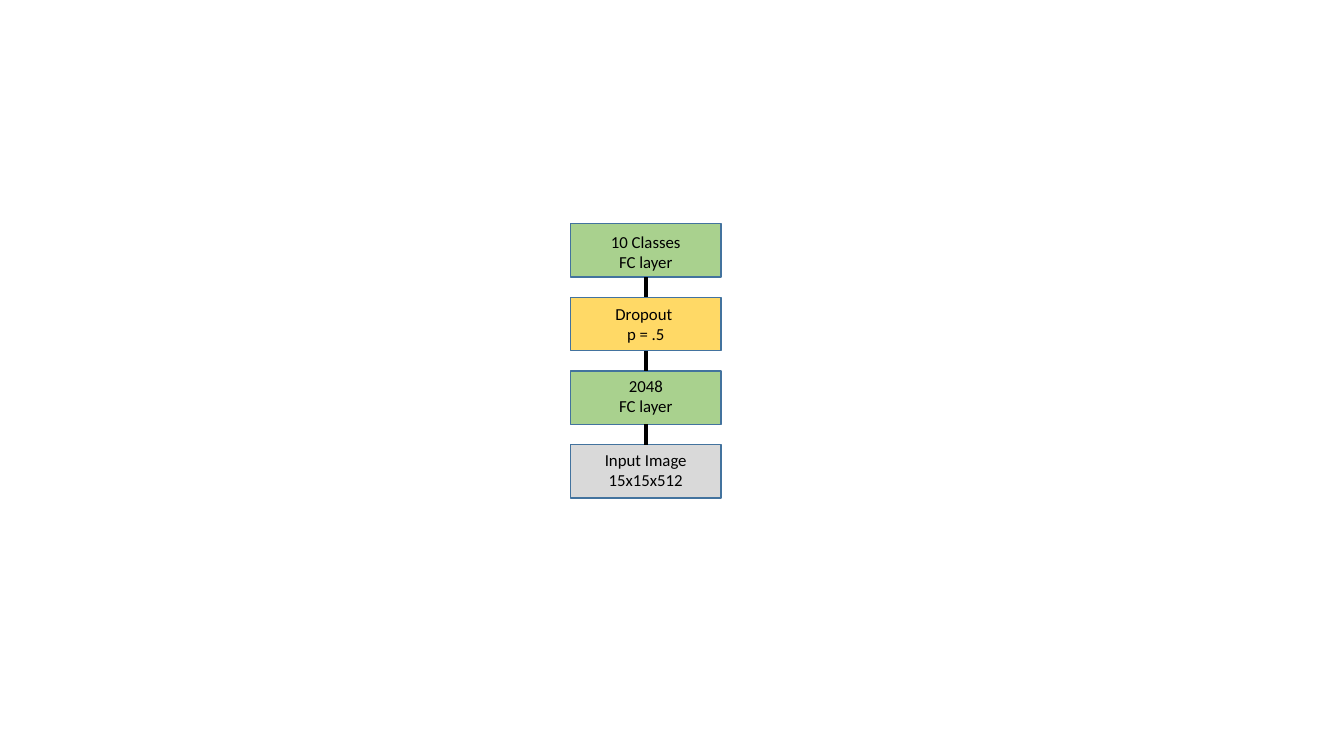
import dataclasses

import lxml.etree
import pptx
import pptx.dml.color
import pptx.enum.shapes
import pptx.enum.text
import pptx.oxml.ns
import pptx.util


@dataclasses.dataclass(frozen=True)
class Theme:
    font: str = "Calibri"
    size: float = 12
    text: str = "000000"
    outline: str = "43739E"
    dense: str = "A9D18E"
    dropout: str = "FFD966"
    source: str = "D9D9D9"
    outline_width: float = 1
    link_width: float = 2.5


theme = Theme()
inches = pptx.util.Inches
color = pptx.dml.color.RGBColor.from_string


def write(box, text, size=theme.size, font=theme.font, ink=theme.text, top_inset=0.05):
    """Fill a box with centred lines of text, starting at its top."""
    frame = box.text_frame
    frame.word_wrap = True
    frame.vertical_anchor = pptx.enum.text.MSO_ANCHOR.TOP
    frame.margin_top = inches(top_inset)
    frame.margin_bottom = 0
    frame.text = text
    for para in frame.paragraphs:
        para.alignment = pptx.enum.text.PP_ALIGN.CENTER
        for span in para.runs:
            span.font.size = pptx.util.Pt(size)
            span.font.name = font
            span.font.color.rgb = color(ink)


# Page
deck = pptx.Presentation()
deck.slide_width, deck.slide_height = inches(13.33), inches(7.5)
page = deck.slides.add_slide(deck.slide_layouts[6])

# Grid: one column of layers, evenly pitched rows
left, top = 5.66, 2.22
width, height = 1.49, 0.53
pitch = 0.73
center = left + width / 2

# Layers from output down to input: text, fill, top inset
layers = [
    ("10 Classes\nFC layer", theme.dense, 0.08),
    ("Dropout \np = .5", theme.dropout, 0.06),
    ("2048\nFC layer", theme.dense, 0.05),
    ("Input Image\n15x15x512", theme.source, 0.05),
]

for row, (text, fill, top_inset) in enumerate(layers):
    row_top = top + row * pitch

    # Layer box
    box = page.shapes.add_shape(
        pptx.enum.shapes.MSO_SHAPE.RECTANGLE,
        inches(left), inches(row_top), inches(width), inches(height),
    )
    box.shadow.inherit = False
    box.fill.solid()
    box.fill.fore_color.rgb = color(fill)
    box.line.color.rgb = color(theme.outline)
    box.line.width = pptx.util.Pt(theme.outline_width)
    write(box, text, top_inset=top_inset)

    # Link to the layer above
    if row > 0:
        link = page.shapes.add_connector(
            pptx.enum.shapes.MSO_CONNECTOR.STRAIGHT,
            inches(center), inches(row_top - pitch + height),
            inches(center), inches(row_top),
        )
        link.line.color.rgb = color(theme.text)
        link.line.width = pptx.util.Pt(theme.link_width)
        lxml.etree.SubElement(
            link._element.spPr, pptx.oxml.ns.qn("a:effectLst")
        )

deck.save("out.pptx")
